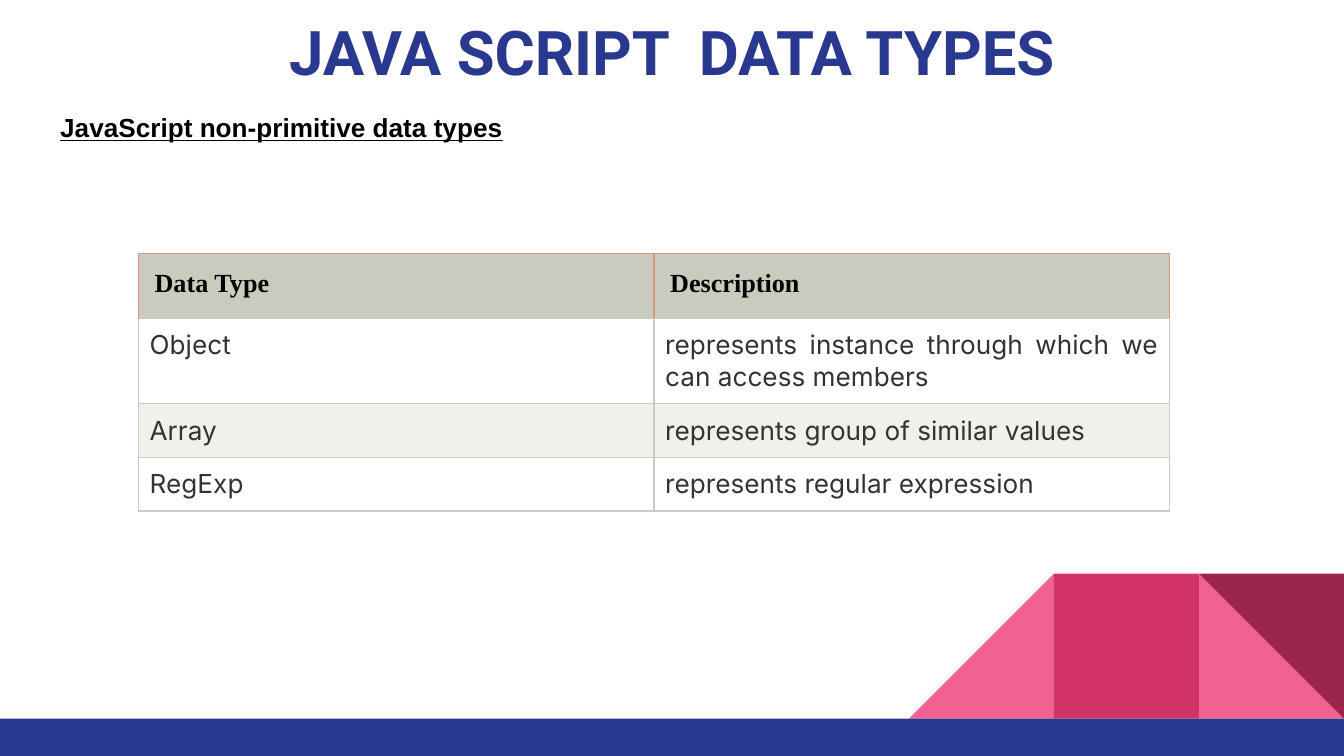
from dataclasses import dataclass

from lxml.etree import SubElement
from pptx import Presentation
from pptx.dml.color import RGBColor
from pptx.enum.shapes import MSO_SHAPE
from pptx.enum.text import MSO_ANCHOR, MSO_AUTO_SIZE, PP_ALIGN
from pptx.oxml.ns import qn
from pptx.util import Pt

NAVY, PINK, ROSE, WINE = "2A3990", "F06292", "D23369", "9C254D"
SAGE, CORAL, WHITE, PALE = "C7CCBE", "E0947A", "FFFFFF", "EFF1EB"
BLACK, GREY = "000000", "333333"
TILE, BAR_TOP = 77.7, 385


@dataclass
class Block:
    shape: MSO_SHAPE
    left: float
    top: float
    width: float
    height: float
    fill: str
    rotation: int = 0


@dataclass
class CellStyle:
    font: str
    color: str
    bold: bool
    inset: float
    align: PP_ALIGN
    borders: dict[str, str]


HEADER = CellStyle("Times New Roman", BLACK, True, 8.64, PP_ALIGN.LEFT,
                   {"L": CORAL, "R": CORAL, "T": CORAL, "B": SAGE})
BODY = CellStyle("Inter", GREY, False, 6, PP_ALIGN.JUSTIFY,
                 dict.fromkeys("LRTB", SAGE))

ROWS = [
    (HEADER, 34.8, SAGE, ("Data Type", "Description")),
    (BODY, 45.6, WHITE, ("Object", "represents instance through which we can access members")),
    (BODY, 28.8, PALE, ("Array", "represents group of similar values")),
    (BODY, 28.8, WHITE, ("RegExp", "represents regular expression")),
]


def rgb(value: str) -> RGBColor:
    """Turn a hex string into a colour."""
    return RGBColor.from_string(value)


def set_font(p, name: str, size: float, color: str, bold: bool) -> None:
    """Set the font of a paragraph."""
    p.font.name = name
    p.font.size = Pt(size)
    p.font.color.rgb = rgb(color)
    p.font.bold = bold


def set_margins(box, left: float, top: float, right: float, bottom: float) -> None:
    """Set the four insets of a text frame or cell."""
    box.margin_left, box.margin_top = Pt(left), Pt(top)
    box.margin_right, box.margin_bottom = Pt(right), Pt(bottom)


def add_block(s, block: Block) -> None:
    """Draw one flat decorative shape."""
    sp = s.shapes.add_shape(block.shape, Pt(block.left), Pt(block.top),
                            Pt(block.width), Pt(block.height))
    sp.shadow.inherit = False
    sp.fill.solid()
    sp.fill.fore_color.rgb = rgb(block.fill)
    sp.line.fill.background()
    sp.rotation = block.rotation


def add_decoration(s) -> None:
    """Draw the corner tiles and the bottom bar."""
    triangle, rect = MSO_SHAPE.RIGHT_TRIANGLE, MSO_SHAPE.RECTANGLE
    tiles = [(triangle, 1, PINK, 0), (triangle, 3, PINK, 270),
             (rect, 2, ROSE, 0), (triangle, 1, WINE, 180)]
    for shape, steps, fill, rotation in tiles:
        add_block(s, Block(shape, 720 - steps * TILE, BAR_TOP - TILE,
                           TILE, TILE, fill, rotation))
    add_block(s, Block(rect, 0, BAR_TOP, 720, 20, NAVY))


def add_title(s, text: str) -> None:
    """Fill and place the title placeholder."""
    sp = s.shapes.title
    sp.left, sp.top, sp.width, sp.height = Pt(0), Pt(0), Pt(720), Pt(47.5)
    tf = sp.text_frame
    tf.text = text
    tf.auto_size = MSO_AUTO_SIZE.NONE
    tf.vertical_anchor = MSO_ANCHOR.TOP
    set_margins(tf, 7.2, 7.2, 7.2, 7.2)
    p = tf.paragraphs[0]
    p.alignment = PP_ALIGN.CENTER
    set_font(p, "Roboto", 33, NAVY, True)


def add_subtitle(s, text: str) -> None:
    """Add the underlined subtitle."""
    tf = s.shapes.add_textbox(Pt(25.2), Pt(41.8), Pt(669.6), Pt(67.7)).text_frame
    tf.word_wrap = True
    set_margins(tf, 7.2, 26, 7.2, 7.2)
    p = tf.paragraphs[0]
    p.text = text
    set_font(p, "Arial", 14, BLACK, True)
    p.font.underline = True


def style_cell(cell, text: str, fill: str, style: CellStyle) -> None:
    """Write and format one table cell."""
    cell.text = text
    set_margins(cell, *[style.inset] * 4)
    p = cell.text_frame.paragraphs[0]
    p.alignment = style.align
    set_font(p, style.font, 14, style.color, style.bold)
    tc_pr = cell._tc.get_or_add_tcPr()
    for side, color in style.borders.items():
        ln = SubElement(tc_pr, qn(f"a:ln{side}"), w=str(Pt(0.75)))
        SubElement(SubElement(ln, qn("a:solidFill")), qn("a:srgbClr"), val=color)
    cell.fill.solid()
    cell.fill.fore_color.rgb = rgb(fill)


def add_types_table(s) -> None:
    """Add the table of data types."""
    height = sum(row[1] for row in ROWS)
    table = s.shapes.add_table(len(ROWS), 2, Pt(74.2), Pt(135.8),
                               Pt(552.4), Pt(height)).table
    for i, (style, row_height, fill, texts) in enumerate(ROWS):
        table.rows[i].height = Pt(row_height)
        for j, text in enumerate(texts):
            style_cell(table.cell(i, j), text, fill, style)


def main() -> None:
    """Build and save the slide."""
    prs = Presentation()
    prs.slide_width, prs.slide_height = Pt(720), Pt(405)
    s = prs.slides.add_slide(prs.slide_layouts[5])
    add_decoration(s)
    add_title(s, "JAVA SCRIPT  DATA TYPES")
    add_subtitle(s, "JavaScript non-primitive data types")
    add_types_table(s)
    prs.save("out.pptx")


if __name__ == "__main__":
    main()
